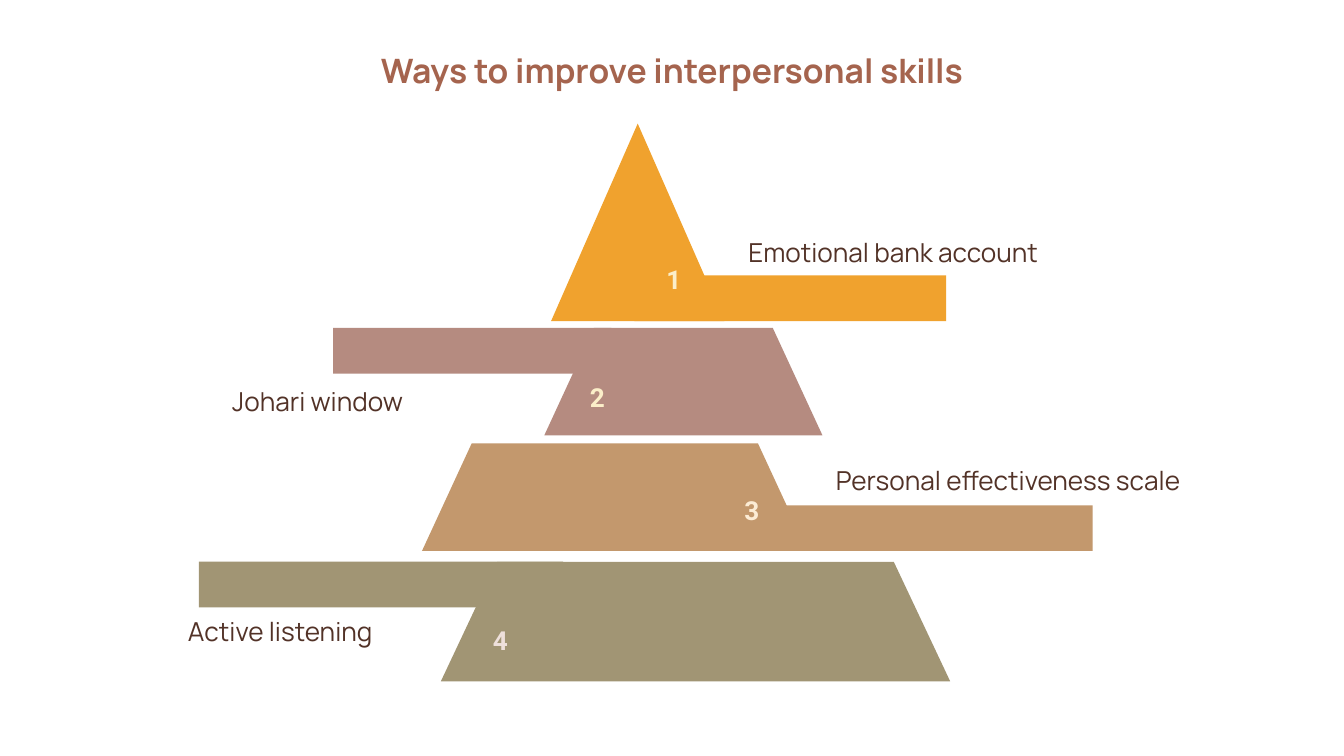
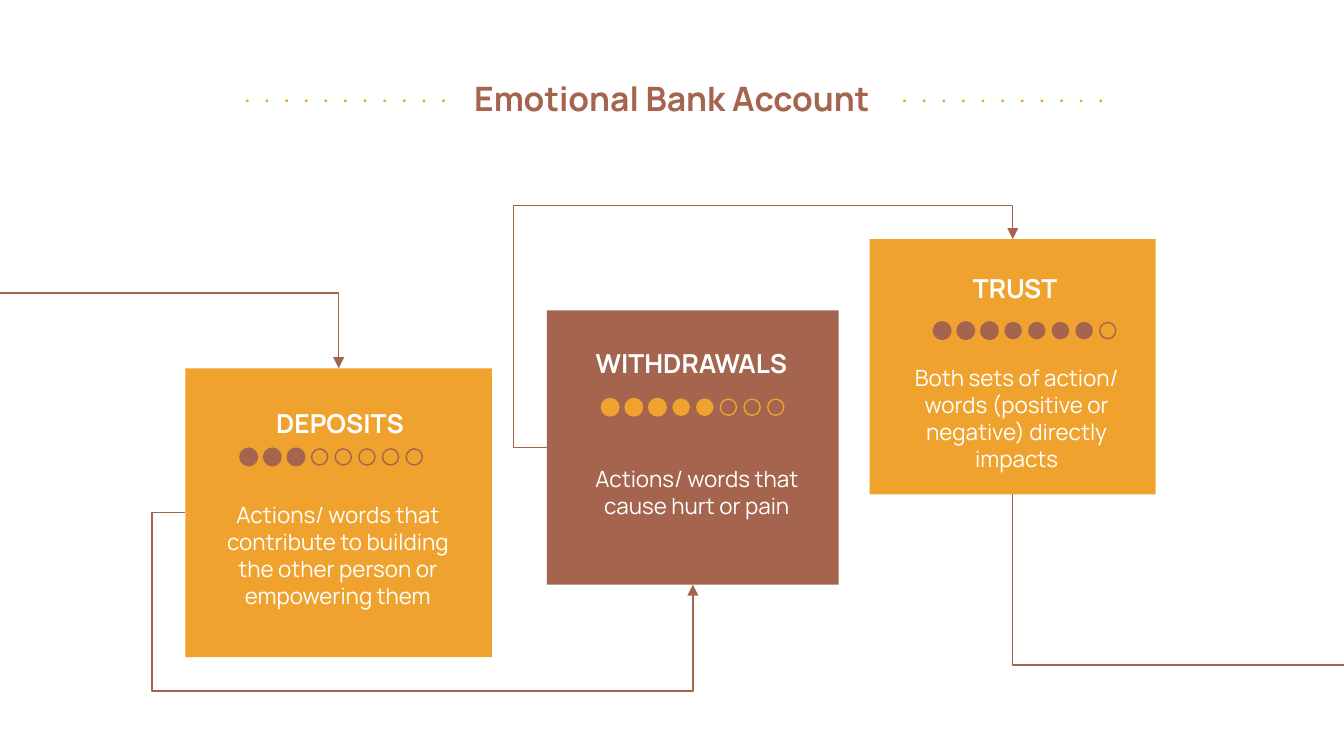
from dataclasses import dataclass

from lxml import etree
from pptx import Presentation
from pptx.dml.color import RGBColor
from pptx.enum import shapes as kinds, text as txt
from pptx.oxml import ns
from pptx.util import Inches, Pt

ORANGE = RGBColor(0xF0, 0xA2, 0x2E)
RUST = RGBColor(0xA5, 0x64, 0x4E)
MAUVE = RGBColor(0xB5, 0x8B, 0x80)
TAN = RGBColor(0xC3, 0x98, 0x6D)
OLIVE = RGBColor(0xA1, 0x95, 0x74)
BROWN = RGBColor(0x52, 0x32, 0x27)
CREAM = RGBColor(0xFB, 0xEE, 0xC9)
PEACH = RGBColor(0xFC, 0xEC, 0xD5)
BLUSH = RGBColor(0xEE, 0xE0, 0xDB)
WHITE = RGBColor(0xFF, 0xFF, 0xFF)

FONT, NUMBER_FONT = "Manrope", "Roboto"
BAR_HEIGHT = 0.34
TOP, LEFT, BOTTOM = 0, 1, 2  # connection sites of a rectangle


@dataclass
class Tier:
    """A pyramid tier; offsets of number and label count from its box."""
    label: str
    color: RGBColor
    box: tuple
    inset: float
    bar: tuple  # left edge and width
    bar_at_bottom: bool
    number_at: tuple
    number_width: float
    number_color: RGBColor
    label_at: tuple
    label_width: float


@dataclass
class Card:
    """A rated card; the positions of its parts count from its corner."""
    heading: str
    body: str
    score: int
    box: tuple
    color: RGBColor
    dot_color: RGBColor
    heading_at: tuple
    heading_width: float
    dots_at: tuple
    body_at: tuple
    body_width: float


TIERS = [
    Tier("Emotional bank account", ORANGE, (4.1, 0.92, 1.29, 1.47), 0.645,
         (4.72, 2.32), True, (0.76, 0.99), 0.21, CREAM, (1.37, 0.79), 2.59),
    Tier("Johari window", MAUVE, (4.05, 2.44, 2.07, 0.8), 0.37,
         (2.48, 2.07), False, (0.24, 0.35), 0.26, CREAM, (-2.42, 0.38), 1.6),
    Tier("Personal effectiveness scale", TAN, (3.14, 3.3, 2.87, 0.8), 0.37,
         (5.85, 2.28), True, (2.3, 0.33), 0.26, PEACH, (2.98, 0.11), 2.95),
    Tier("Active listening", OLIVE, (3.28, 4.18, 3.79, 0.89), 0.42,
         (1.48, 2.71), False, (0.29, 0.42), 0.27, BLUSH, (-1.98, 0.35), 1.66),
]

CARDS = [
    Card("DEPOSITS",
         "Actions/ words that contribute to building the other person or empowering them",
         3, (1.38, 2.74, 2.28, 2.15), ORANGE, RUST,
         (0.39, 0.22), 1.52, (0.41, 0.6), (0.1, 0.89), 2.07),
    Card("WITHDRAWALS", "Actions/ words that cause hurt or pain",
         5, (4.07, 2.31, 2.17, 2.04), RUST, ORANGE,
         (0.16, 0.2), 1.83, (0.41, 0.66), (0.12, 1.05), 1.99),
    Card("TRUST ",
         "Both sets of action/ words (positive or negative) directly impacts",
         7, (6.47, 1.78, 2.13, 1.9), ORANGE, RUST,
         (0.34, 0.17), 1.52, (0.48, 0.62), (0.1, 0.83), 1.99),
]


def inches(values):
    return [Inches(value) for value in values]


def write(frame, content, *, size, color, font=FONT, bold=False, align="CENTER",
          anchor="TOP", pad=0.1, wrap=True, fit="NONE", after=None):
    frame.text = content
    frame.word_wrap = wrap
    frame.auto_size = txt.MSO_AUTO_SIZE[fit]
    frame.vertical_anchor = txt.MSO_ANCHOR[anchor]
    frame.margin_left = frame.margin_right = Inches(0.1)
    frame.margin_top = frame.margin_bottom = Inches(pad)
    paragraph = frame.paragraphs[0]
    paragraph.alignment = txt.PP_ALIGN[align]
    if after:
        paragraph.space_after = Pt(after)
    style = paragraph.runs[0].font
    style.name, style.size, style.bold = font, Pt(size), bold
    style.color.rgb = color


def add_text(parts, box, content, **style):
    write(parts.add_textbox(*inches(box)).text_frame, content, **style)


def paint(shape, fill=None, line=None, width=0.75):
    shape.shadow.inherit = False
    if fill is None:
        shape.fill.background()
    else:
        shape.fill.solid()
        shape.fill.fore_color.rgb = fill
    if line is None:
        shape.line.fill.background()
    else:
        shape.line.color.rgb = line
        shape.line.width = Pt(width)
    return shape


def add_shape(parts, kind, box, **look):
    return paint(parts.add_shape(kinds.MSO_SHAPE[kind], *inches(box)), **look)


def add_titled_slide(deck, title, box):
    slide = deck.slides.add_slide(deck.slide_layouts.get_by_name("Title Only"))
    heading = slide.shapes.title
    heading.left, heading.top, heading.width, heading.height = inches(box)
    write(heading.text_frame, title, size=18, color=RUST, bold=True)
    return slide


def add_tier(slide, number, tier):
    parts = slide.shapes.add_group_shape().shapes
    left, top, width, height = tier.box
    right, bottom = left + width, top + height

    bar_left, bar_width = tier.bar
    bar_top = bottom - BAR_HEIGHT if tier.bar_at_bottom else top
    add_shape(parts, "RECTANGLE", (bar_left, bar_top, bar_width, BAR_HEIGHT),
              fill=tier.color)

    corners = [(left + tier.inset, top), (left, bottom),
               (right, bottom), (right - tier.inset, top)]
    start, *rest = [inches(corner) for corner in corners]
    outline = parts.build_freeform(*start)
    outline.add_line_segments(rest)
    paint(outline.convert_to_shape(), fill=tier.color)

    dx, dy = tier.number_at
    add_text(parts, (left + dx, top + dy, tier.number_width, 0.38),
             str(number), size=14, color=tier.number_color, font=NUMBER_FONT,
             bold=True, pad=0.05)
    dx, dy = tier.label_at
    add_text(parts, (left + dx, top + dy, tier.label_width, 0.57), tier.label,
             size=14, color=BROWN, align="LEFT", pad=0.05, wrap=False,
             fit="SHAPE_TO_FIT_TEXT")


def add_title_dots(slide, left, top, count=11, pitch=0.146):
    parts = slide.shapes.add_group_shape().shapes
    for i in range(count):
        add_shape(parts, "OVAL", (left + i * pitch, top, 0.02, 0.02), fill=ORANGE)


def add_rating(slide, left, top, score, color, count=8, pitch=0.176):
    parts = slide.shapes.add_group_shape().shapes
    for i in range(count):
        add_shape(parts, "OVAL", (left + i * pitch, top, 0.12, 0.12),
                  fill=color if i < score else None,
                  line=color, width=1.5 if i < min(score, 3) else 0.75)


def add_card_text(slide, card):
    left, top = card.box[:2]
    dx, dy = card.heading_at
    add_text(slide.shapes, (left + dx, top + dy, card.heading_width, 0.38),
             card.heading, size=14, color=WHITE, bold=True, anchor="MIDDLE")
    dx, dy = card.body_at
    add_text(slide.shapes, (left + dx, top + dy, card.body_width, 0.68),
             card.body, size=12, color=WHITE, after=16)
    dx, dy = card.dots_at
    add_rating(slide, left + dx, top + dy, card.score, card.dot_color)


def add_elbow(slide, end, start=(0, 0), source=None, bend=None, arrow=True):
    """Join a point or (shape, site) to a (shape, site), turning at bend if given."""
    link = slide.shapes.add_connector(kinds.MSO_CONNECTOR.ELBOW, *inches(start), 0, 0)
    if source:
        link.begin_connect(*source)
    link.end_connect(*end)
    link.line.color.rgb = RUST
    link.line.width = Pt(0.75)

    properties = link._element.spPr
    geometry = properties.find(ns.qn("a:prstGeom"))
    geometry.set("prst", "bentConnector4" if bend else "bentConnector2")
    if bend:
        guides = geometry.find(ns.qn("a:avLst"))
        spans = [(link.begin_x, link.end_x), (link.begin_y, link.end_y)]
        for i, (turn, (first, last)) in enumerate(zip(inches(bend), spans), 1):
            ratio = round(100000 * (turn - first) / (last - first))
            etree.SubElement(guides, ns.qn("a:gd"), name=f"adj{i}", fmla=f"val {ratio}")
    if arrow:
        etree.SubElement(link.line._get_or_add_ln(), ns.qn("a:tailEnd"), type="triangle")
    etree.SubElement(properties, ns.qn("a:effectLst"))


def build_pyramid(deck):
    slide = add_titled_slide(deck, "Ways to improve interpersonal skills",
                             (0.5, 0.27, 9, 0.63))
    for number, tier in enumerate(TIERS, 1):
        add_tier(slide, number, tier)


def build_account(deck):
    slide = add_titled_slide(deck, "Emotional Bank Account", (1.86, 0.48, 6.28, 0.63))
    for left in (6.72, 1.83):
        add_title_dots(slide, left, 0.74)
    deposits, withdrawals, trust = [
        add_shape(slide.shapes, "RECTANGLE", card.box, fill=card.color)
        for card in CARDS]
    add_elbow(slide, (withdrawals, BOTTOM), source=(deposits, LEFT), bend=(1.13, 5.14))
    add_elbow(slide, (trust, TOP), source=(withdrawals, LEFT), bend=(3.82, 1.53))
    add_elbow(slide, (trust, BOTTOM), start=(10.28, 4.95), arrow=False)
    add_elbow(slide, (deposits, TOP), start=(-0.1, 2.18))
    for card in CARDS:
        add_card_text(slide, card)


def main():
    deck = Presentation()
    deck.slide_width = Inches(10)
    deck.slide_height = deck.slide_width * 9 // 16
    build_pyramid(deck)
    build_account(deck)
    deck.save("out.pptx")


if __name__ == "__main__":
    main()
